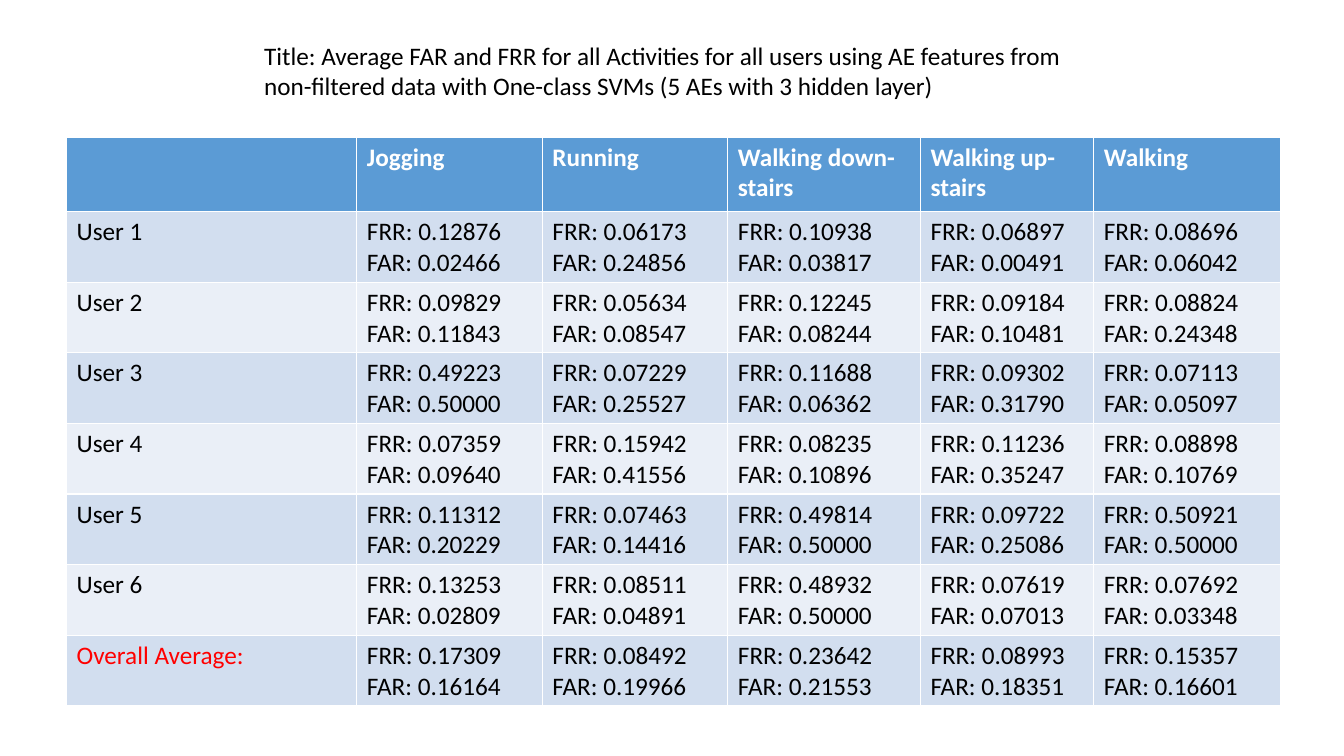
from dataclasses import dataclass

from pptx import Presentation
from pptx.dml.color import RGBColor as Color
from pptx.enum.text import MSO_ANCHOR as Anchor, MSO_AUTO_SIZE as AutoSize, PP_ALIGN as Align
from pptx.util import Inches, Pt


@dataclass(frozen=True)
class Theme:
    """Colours, font and type size of the slide."""
    font: str = "Calibri"
    size: int = 18
    text: str = "000000"
    header_text: str = "FFFFFF"
    average_text: str = "FF0000"
    header_fill: str = "5B9BD5"
    band_fills: tuple = ("D2DEEF", "EAEFF7")


THEME = Theme()
TITLE = ("Title: Average FAR and FRR for all Activities for all users using AE features "
         "from non-filtered data with One-class SVMs (5 AEs with 3 hidden layer)")
ACTIVITIES = ["Jogging", "Running", "Walking down-stairs", "Walking up-stairs", "Walking"]
RATES = {
    "User 1": [("0.12876", "0.02466"), ("0.06173", "0.24856"), ("0.10938", "0.03817"),
               ("0.06897", "0.00491"), ("0.08696", "0.06042")],
    "User 2": [("0.09829", "0.11843"), ("0.05634", "0.08547"), ("0.12245", "0.08244"),
               ("0.09184", "0.10481"), ("0.08824", "0.24348")],
    "User 3": [("0.49223", "0.50000"), ("0.07229", "0.25527"), ("0.11688", "0.06362"),
               ("0.09302", "0.31790"), ("0.07113", "0.05097")],
    "User 4": [("0.07359", "0.09640"), ("0.15942", "0.41556"), ("0.08235", "0.10896"),
               ("0.11236", "0.35247"), ("0.08898", "0.10769")],
    "User 5": [("0.11312", "0.20229"), ("0.07463", "0.14416"), ("0.49814", "0.50000"),
               ("0.09722", "0.25086"), ("0.50921", "0.50000")],
    "User 6": [("0.13253", "0.02809"), ("0.08511", "0.04891"), ("0.48932", "0.50000"),
               ("0.07619", "0.07013"), ("0.07692", "0.03348")],
    "Overall Average:": [("0.17309", "0.16164"), ("0.08492", "0.19966"), ("0.23642", "0.21553"),
                         ("0.08993", "0.18351"), ("0.15357", "0.16601")],
}
COLUMN_SHARES = [2.88, 1.84, 1.84, 1.91, 1.72, 1.85]
HEADER_HEIGHT = 0.74


def write_lines(frame, lines, color, bold=False):
    """Write each line as a left-aligned paragraph with one run."""
    for index, line in enumerate(lines):
        paragraph = frame.add_paragraph() if index else frame.paragraphs[0]
        paragraph.alignment = Align.LEFT
        run = paragraph.add_run()
        run.text = line
        run.font.name = THEME.font
        run.font.size = Pt(THEME.size)
        run.font.bold = bold
        run.font.color.rgb = Color.from_string(color)


def place_title(slide, left, top, width, height):
    """Move the title placeholder into the box and fill it."""
    title = slide.shapes.title
    title.left, title.top = Inches(left), Inches(top)
    title.width, title.height = Inches(width), Inches(height)
    frame = title.text_frame
    frame.word_wrap = True
    frame.auto_size = AutoSize.SHAPE_TO_FIT_TEXT
    frame.vertical_anchor = Anchor.TOP
    write_lines(frame, [TITLE], THEME.text)


def fill_cell(cell, lines, fill, color, bold=False):
    """Colour a cell and write its lines."""
    cell.fill.solid()
    cell.fill.fore_color.rgb = Color.from_string(fill)
    write_lines(cell.text_frame, lines, color, bold)


def add_rate_table(slide, left, top, width, height):
    """Add the table of error rates by user and activity to the box."""
    table = slide.shapes.add_table(
        len(RATES) + 1, len(COLUMN_SHARES),
        Inches(left), Inches(top), Inches(width), Inches(height)).table
    for column, share in zip(table.columns, COLUMN_SHARES):
        column.width = Inches(width * share / sum(COLUMN_SHARES))
    for row in table.rows:
        row.height = Inches((height - HEADER_HEIGHT) / len(RATES))
    table.rows[0].height = Inches(HEADER_HEIGHT)

    fill_cell(table.cell(0, 0), [], THEME.header_fill, THEME.header_text)
    for column, activity in enumerate(ACTIVITIES, 1):
        fill_cell(table.cell(0, column), [activity], THEME.header_fill, THEME.header_text, True)
    for row, (user, rates) in enumerate(RATES.items(), 1):
        fill = THEME.band_fills[(row - 1) % 2]
        label_color = THEME.average_text if row == len(RATES) else THEME.text
        fill_cell(table.cell(row, 0), [user], fill, label_color)
        for column, (frr, far) in enumerate(rates, 1):
            fill_cell(table.cell(row, column), [f"FRR: {frr}", f"FAR: {far}"], fill, THEME.text)


def main():
    """Build the slide and save it."""
    presentation = Presentation()
    presentation.slide_width, presentation.slide_height = Inches(13.33), Inches(7.5)
    slide = presentation.slides.add_slide(presentation.slide_layouts.get_by_name("Title Only"))
    place_title(slide, 2.52, 0.35, 8.13, 0.71)
    add_rate_table(slide, 0.66, 1.36, 12.04, 5.64)
    presentation.save("out.pptx")


main()
